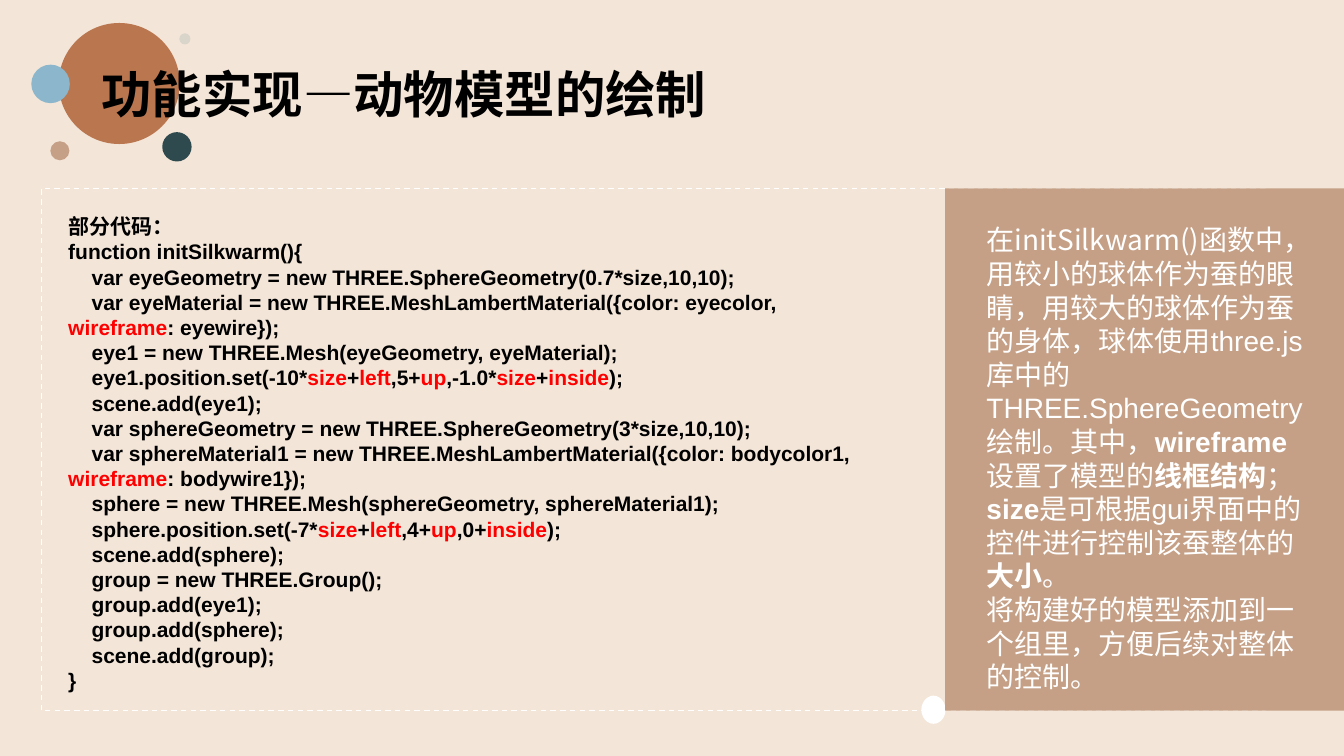
from dataclasses import dataclass
from typing import Optional

from lxml import etree
from pptx import Presentation
from pptx.dml.color import RGBColor
from pptx.enum import dml, shapes, text
from pptx.oxml import ns
from pptx import util as u

CREAM = RGBColor(0xF3, 0xE5, 0xD8)
WHITE = RGBColor(0xFF, 0xFF, 0xFF)
BLACK = RGBColor(0, 0, 0)
RED = RGBColor(0xFF, 0, 0)
TAN = RGBColor(0xC5, 0xA0, 0x86)
RUST = RGBColor(0xBA, 0x76, 0x4F)
SKY = RGBColor(0x8B, 0xB6, 0xCB)
TEAL = RGBColor(0x2E, 0x4A, 0x4E)
STONE = RGBColor(0xD9, 0xD5, 0xCA)
LATIN, CHINESE = "Arial", "Noto Sans CJK SC"
CODE_INDENT = u.Cm(0.59)


@dataclass
class Block:
    left: float
    top: float
    width: float
    height: float
    fill: Optional[RGBColor] = None
    kind: shapes.MSO_SHAPE = shapes.MSO_SHAPE.OVAL

    def box(self) -> list:
        return [u.Cm(n) for n in (self.left, self.top, self.width, self.height)]


@dataclass
class Run:
    text: str
    bold: bool = False
    color: RGBColor = WHITE
    font: str = LATIN


@dataclass
class Line:
    runs: list
    indented: bool = False


def draw_block(slide, block: Block):
    shape = slide.shapes.add_shape(block.kind, *block.box())
    shape.shadow.inherit = False
    shape.line.fill.background()
    if block.fill is None:
        shape.fill.background()
    else:
        shape.fill.solid()
        shape.fill.fore_color.rgb = block.fill
    return shape


def draw_text(slide, place: Block, size: float, lines: list) -> None:
    frame = slide.shapes.add_textbox(*place.box()).text_frame
    frame.word_wrap = True
    frame.auto_size = text.MSO_AUTO_SIZE.SHAPE_TO_FIT_TEXT
    for number, line in enumerate(lines):
        paragraph = frame.add_paragraph() if number else frame.paragraphs[0]
        if line.indented:
            paragraph._p.get_or_add_pPr().set("marL", str(CODE_INDENT))
        for part in line.runs:
            run = paragraph.add_run()
            run.text = part.text
            font = run.font
            font.size, font.bold, font.name = u.Pt(size), part.bold, part.font
            font.color.rgb = part.color
            east_asian = etree.SubElement(run._r.get_or_add_rPr(), ns.qn("a:ea"))
            east_asian.set("typeface", CHINESE)


def code_line(source: str) -> Line:
    """Words between bars are red; a leading > indents the line."""
    parts = source.removeprefix(">").split("|")
    runs = [Run(part, True, RED if number % 2 else BLACK)
            for number, part in enumerate(parts) if part]
    return Line(runs, source.startswith(">"))


CODE = """部分代码：
function initSilkwarm(){
>var eyeGeometry = new THREE.SphereGeometry(0.7*size,10,10);
>var eyeMaterial = new THREE.MeshLambertMaterial({color: eyecolor,
|wireframe|: eyewire});
>eye1 = new THREE.Mesh(eyeGeometry, eyeMaterial);
>eye1.position.set(-10*|size|+|left|,5+|up|,-1.0*|size|+|inside|);
>scene.add(eye1);
>var sphereGeometry = new THREE.SphereGeometry(3*size,10,10);
>var sphereMaterial1 = new THREE.MeshLambertMaterial({color: bodycolor1,
|wireframe|: bodywire1});
>sphere = new THREE.Mesh(sphereGeometry, sphereMaterial1);
>sphere.position.set(-7*|size|+|left|,4+|up|,0+|inside|);
>scene.add(sphere);
>group = new THREE.Group();
>group.add(eye1);
>group.add(sphere);
>scene.add(group);
}"""

EXPLANATION = [
    Line([
        Run("在initSilkwarm()函数中，用较小的球体作为蚕的眼睛，"
            "用较大的球体作为蚕的身体，球体使用", font=CHINESE),
        Run("three.js"),
        Run("库中的", font=CHINESE),
        Run("THREE.SphereGeometry"),
        Run("绘制。其中，", font=CHINESE),
        Run("wireframe", True),
        Run("设置了模型的", font=CHINESE),
        Run("线框结构", True, font=CHINESE),
        Run("； ", font=CHINESE),
        Run("size", True),
        Run("是可根据", font=CHINESE),
        Run("gui"),
        Run("界面中的控件进行控制该蚕整体的", font=CHINESE),
        Run("大小", True, font=CHINESE),
        Run("。", font=CHINESE),
    ]),
    Line([Run("将构建好的模型添加到一个组里，方便后续对整体的控制。", font=CHINESE)]),
]

TITLE = [Line([Run("功能实现—", True, BLACK, CHINESE),
               Run("动物模型的绘制", True, BLACK)])]

RECTANGLE = shapes.MSO_SHAPE.RECTANGLE
CODE_FRAME = Block(1.04, 4.75, 30.84, 13.16, kind=RECTANGLE)
PANEL = [
    Block(23.22, 17.53, 0.61, 0.71, WHITE),
    Block(23.82, 4.75, 10.05, 13.16, TAN, RECTANGLE),
]
BUBBLES = [
    Block(1.48, 0.58, 3.05, 3.05, RUST),
    Block(0.79, 1.63, 0.97, 0.97, SKY),
    Block(1.27, 3.56, 0.48, 0.48, TAN),
    Block(4.09, 3.33, 0.74, 0.74, TEAL),
    Block(4.52, 0.84, 0.28, 0.28, STONE),
]

presentation = Presentation()
presentation.slide_width, presentation.slide_height = u.Cm(33.87), u.Cm(19.05)
slide = presentation.slides.add_slide(presentation.slide_layouts[6])
slide.background.fill.solid()
slide.background.fill.fore_color.rgb = CREAM

# Dashed frame and side panel
frame_shape = draw_block(slide, CODE_FRAME)
frame_shape.line.color.rgb = WHITE
frame_shape.line.width = u.Pt(1)
frame_shape.line.dash_style = dml.MSO_LINE.DASH
for block in PANEL:
    draw_block(slide, block)

# Code listing
draw_text(slide, Block(1.47, 5.26, 27.56, 12.45), 15,
          [code_line(source) for source in CODE.splitlines()])

# Title with its bubbles
for block in BUBBLES:
    draw_block(slide, block)
draw_text(slide, Block(2.31, 1.47, 16.74, 2.82), 36, TITLE)

# Explanation
draw_text(slide, Block(24.61, 5.49, 8.69, 12.22), 20, EXPLANATION)

presentation.save("out.pptx")
